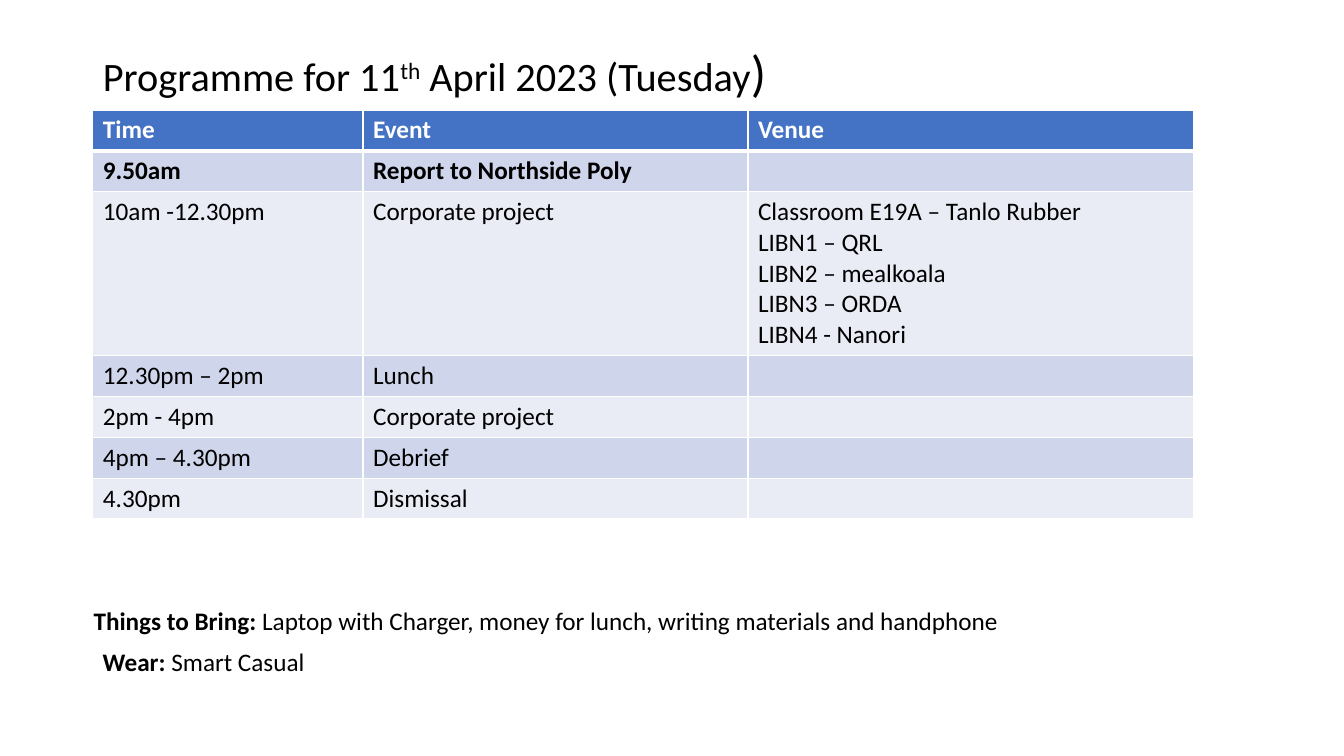
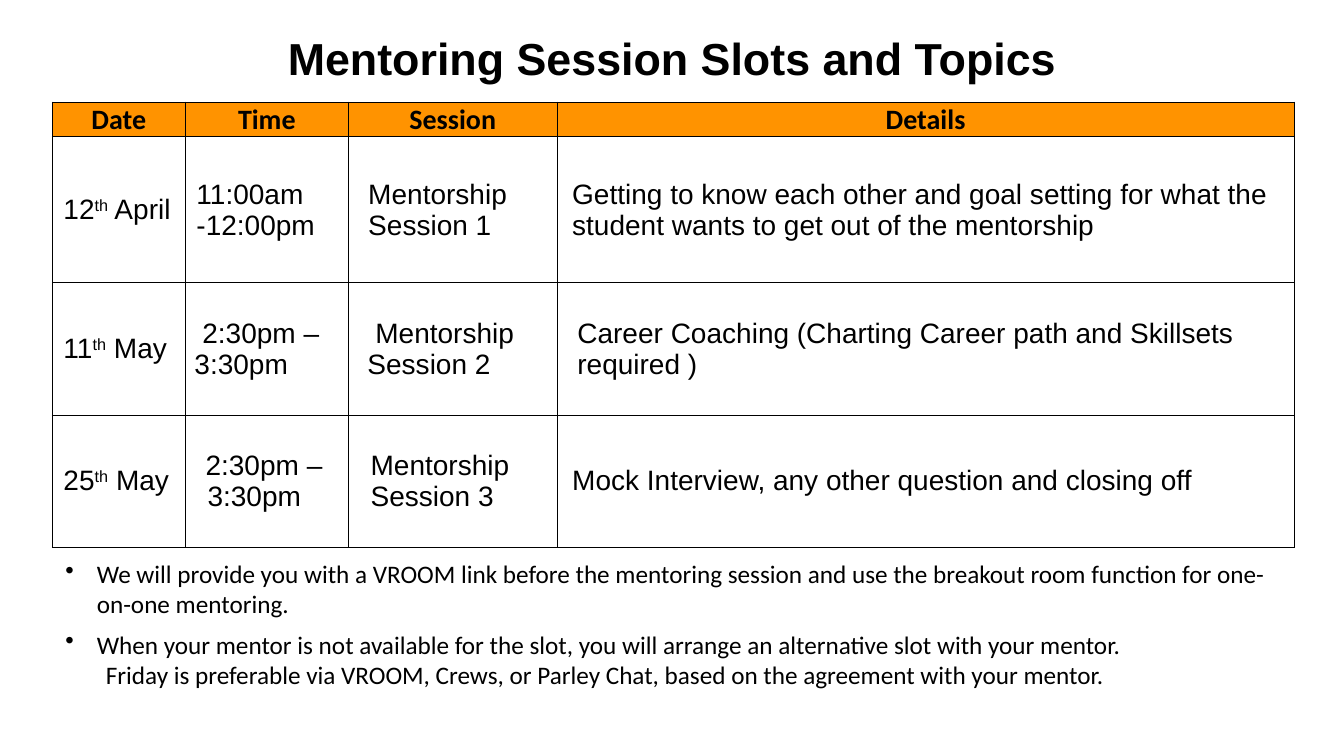
import pptx
import pptx.util
import pptx.dml.color
import pptx.enum.text
import pptx.oxml
import pptx.oxml.ns

Cm, Pt = pptx.util.Cm, pptx.util.Pt
ALIGN, ANCHOR = pptx.enum.text.PP_ALIGN, pptx.enum.text.MSO_ANCHOR

# Shared look
COLOURS = {"ink": "000000", "paper": "FFFFFF", "header": "4472C4", "odd": "CFD5EA",
           "even": "E9EBF5", "orange": "FF9300"}
BODY, ARIAL = "Calibri", "Arial"

# Content: a piece between two ^ marks is raised
PROGRAMME_TITLE = ["Programme for 11^th^ April 2023 (Tuesday", ")"]
PROGRAMME = [
    ("Time", "Event", "Venue"),
    ("9.50am", "Report to Northside Poly", ""),
    ("10am -12.30pm", "Corporate project",
     "Classroom E19A – Tanlo Rubber\nLIBN1 – QRL\nLIBN2 – mealkoala\nLIBN3 – ORDA\nLIBN4 - Nanori"),
    ("12.30pm – 2pm", "Lunch", ""),
    ("2pm - 4pm", "Corporate project", ""),
    ("4pm – 4.30pm", "Debrief", ""),
    ("4.30pm", "Dismissal", ""),
]
PROGRAMME_WIDTHS = [6.81, 9.7, 11.23]
LINE_HEIGHT, CELL_PADDING = 0.775, 0.25
REMINDERS = [  # left, top, width, label, text
    (2.11, 15.14, 28.85, "Things to Bring: ",
     "Laptop with Charger, money for lunch, writing materials and handphone"),
    (2.34, 16.15, 28.4, "Wear: ", "Smart Casual"),
]

MENTORING_TITLE = "Mentoring Session Slots and Topics"
MENTORING_HEADER = ("Date", "Time", "Session", "Details")
MENTORING = [
    ("12^th^ April", "11:00am -12:00pm", "Mentorship Session 1",
     "Getting to know each other and goal setting for what the student wants to get out of the mentorship"),
    ("11^th^ May", "2:30pm – 3:30pm", "Mentorship Session 2",
     "Career Coaching (Charting Career path and Skillsets required )"),
    ("25^th^ May", "2:30pm – 3:30pm", "Mentorship Session 3",
     "Mock Interview, any other question and closing off"),
]
MENTORING_INDENTS = [  # left margin and first-line offset of each cell
    [(0.28, 0), (0.28, 0), (0.5, 0), (0.38, 0)],
    [(0.28, 0), (0.23, 0.2), (0.48, 0.2), (0.51, 0)],
    [(0.28, 0), (0.56, -0.05), (0.56, 0), (0.38, 0)],
]
MENTORING_WIDTHS = [3.35, 4.11, 5.26, 18.57]
MENTORING_HEIGHTS = [0.88, 3.68, 3.33, 3.33]
MENTORING_NOTES = [  # text, bulleted, space before
    ("We will provide you with a VROOM link before the mentoring session and use the breakout room "
     "function for one-on-one mentoring.", True, 0),
    ("When your mentor is not available for the slot, you will arrange an alternative slot with "
     "your mentor.", True, 7.2),
    ("Friday is preferable via VROOM, Crews, or Parley Chat, based on the agreement with your mentor.",
     False, 0),
]


def rgb(name):
    return pptx.dml.color.RGBColor.from_string(COLOURS[name])


def write(paragraph, text, size, font=BODY, bold=False, colour="ink"):
    for position, piece in enumerate(text.split("^")):
        if not piece:
            continue
        run = paragraph.add_run()
        run.text = piece
        run.font.size, run.font.name, run.font.bold = Pt(size), font, bold
        run.font.color.rgb = rgb(colour)
        if position % 2:
            run._r.get_or_add_rPr().set("baseline", "30000")


def indent(paragraph, left, first, bullet=False):
    properties = paragraph._p.get_or_add_pPr()
    properties.set("marL", str(Cm(left)))
    properties.set("indent", str(Cm(first)))
    if bullet:
        properties.append(pptx.oxml.parse_xml(
            f'<a:buChar {pptx.oxml.ns.nsdecls("a")} char="•"/>'))


def place(part, left, top, width, height):
    part.left, part.top, part.width, part.height = map(Cm, (left, top, width, height))


def set_insets(frame, left, top, right, bottom):
    frame.margin_left, frame.margin_top = Cm(left), Cm(top)
    frame.margin_right, frame.margin_bottom = Cm(right), Cm(bottom)


def titled_slide(box, anchor, align):
    slide = deck.slides.add_slide(deck.slide_layouts[5])
    place(slide.shapes.title, *box)
    frame = slide.shapes.title.text_frame
    frame.auto_size = pptx.enum.text.MSO_AUTO_SIZE.NONE
    frame.word_wrap, frame.vertical_anchor = True, anchor
    frame.paragraphs[0].alignment = align
    return slide, frame


def text_box(slide, box):
    frame = slide.shapes.add_textbox(*map(Cm, box)).text_frame
    frame.word_wrap = True
    return frame


def add_grid(slide, left, top, widths, heights):
    grid = slide.shapes.add_table(len(heights), len(widths), Cm(left), Cm(top),
                                  Cm(sum(widths)), Cm(sum(heights))).table
    for column, width in zip(grid.columns, widths):
        column.width = Cm(width)
    for row, height in zip(grid.rows, heights):
        row.height = Cm(height)
    return grid


def dress(cell, fill, border, top, bottom, side):
    properties = cell._tc.get_or_add_tcPr()
    for edge, weight in zip(("lnL", "lnR", "lnT", "lnB"), (side, side, top, bottom)):
        properties.append(pptx.oxml.parse_xml(
            f'<a:{edge} {pptx.oxml.ns.nsdecls("a")} w="{Pt(weight)}"><a:solidFill>'
            f'<a:srgbClr val="{COLOURS[border]}"/></a:solidFill></a:{edge}>'))
    cell.fill.solid()
    cell.fill.fore_color.rgb = rgb(fill)


deck = pptx.Presentation()
deck.slide_width, deck.slide_height = Cm(33.87), Cm(19.05)

# Programme slide
slide, title = titled_slide((2.34, 1.02, 28.4, 1.75), ANCHOR.MIDDLE, ALIGN.LEFT)
title.paragraphs[0].line_spacing = 0.9
for text, size in zip(PROGRAMME_TITLE, (28.8, 36)):
    write(title.paragraphs[0], text, size)

heights = [CELL_PADDING + LINE_HEIGHT * max(text.count("\n") + 1 for text in row)
           for row in PROGRAMME]
programme = add_grid(slide, 2.34, 2.77, PROGRAMME_WIDTHS, heights)
for r, row in enumerate(PROGRAMME):
    fill = "header" if r == 0 else ("even", "odd")[r % 2]
    for c, text in enumerate(row):
        cell = programme.cell(r, c)
        dress(cell, fill, "paper", 3 if r == 1 else 1, 3 if r == 0 else 1, 1)
        cell.text_frame.text = text
        for paragraph in cell.text_frame.paragraphs:
            line = paragraph.text
            paragraph.clear()
            write(paragraph, line, 18, bold=r < 2, colour="ink" if r else "paper")

for left, top, width, label, text in REMINDERS:
    reminder = text_box(slide, (left, top, width, 1.02)).paragraphs[0]
    write(reminder, label, 18, bold=True)
    write(reminder, text, 18)

# Mentoring slide
slide, title = titled_slide((1.17, 0.33, 31.55, 1.57), ANCHOR.TOP, ALIGN.CENTER)
set_insets(title, 0.33, 0.45, 0.33, 0.33)
write(title.paragraphs[0], MENTORING_TITLE, 32, ARIAL, bold=True)

mentoring = add_grid(slide, 1.32, 2.57, MENTORING_WIDTHS, MENTORING_HEIGHTS)
for r, row in enumerate([MENTORING_HEADER] + MENTORING):
    for c, text in enumerate(row):
        cell = mentoring.cell(r, c)
        dress(cell, "paper" if r else "orange", "ink", 0.75, 0.75, 0.75)
        set_insets(cell, 0, 0, 0, 0)
        cell.vertical_anchor = ANCHOR.MIDDLE
        paragraph = cell.text_frame.paragraphs[0]
        if r:
            indent(paragraph, *MENTORING_INDENTS[r - 1][c])
            write(paragraph, text, 20, ARIAL)
        else:
            paragraph.alignment = ALIGN.CENTER
            write(paragraph, text, 20, bold=True)

notes = text_box(slide, (1.32, 13.74, 31.55, 4.29))
set_insets(notes, 0.33, 0.33, 0.33, 0.33)
for n, (text, bulleted, gap) in enumerate(MENTORING_NOTES):
    paragraph = notes.add_paragraph() if n else notes.paragraphs[0]
    paragraph.space_before = Pt(gap)
    indent(paragraph, *((0.79, -0.79) if bulleted else (1.02, 0)), bullet=bulleted)
    write(paragraph, text, 18)

deck.save("out.pptx")
